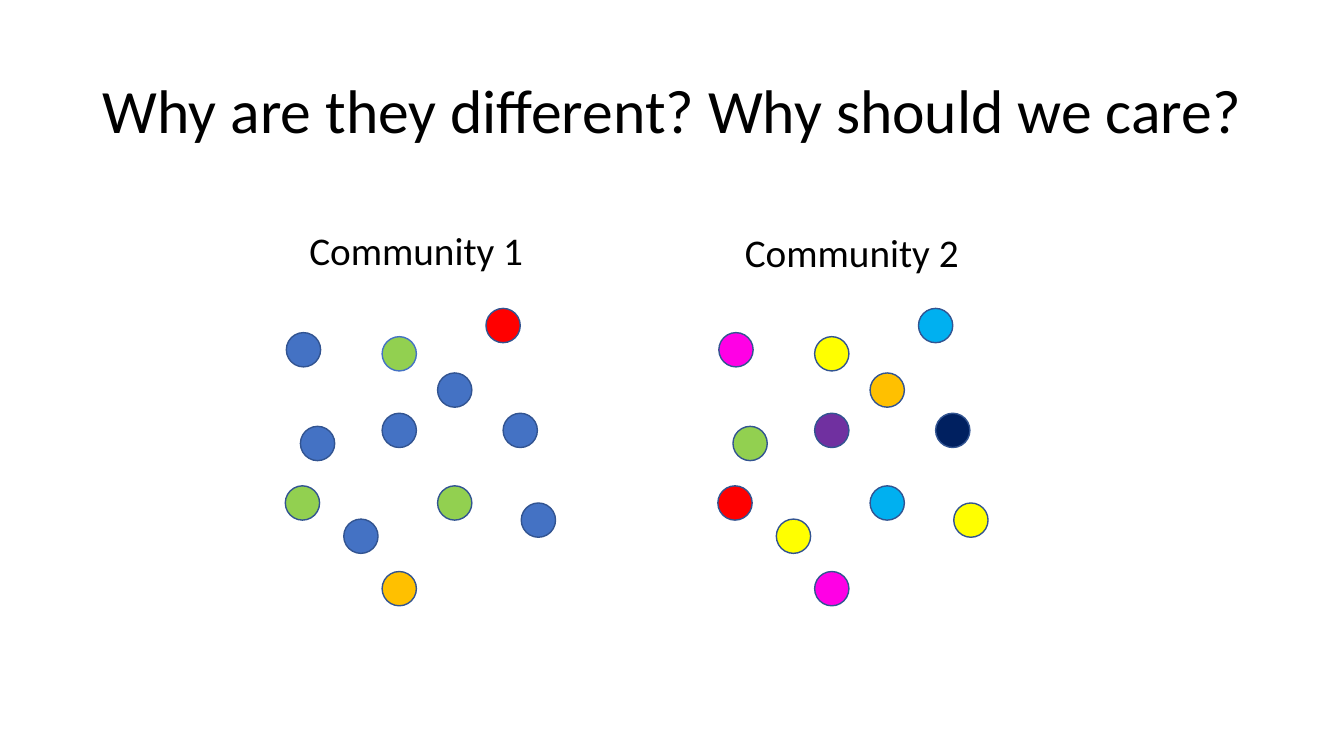
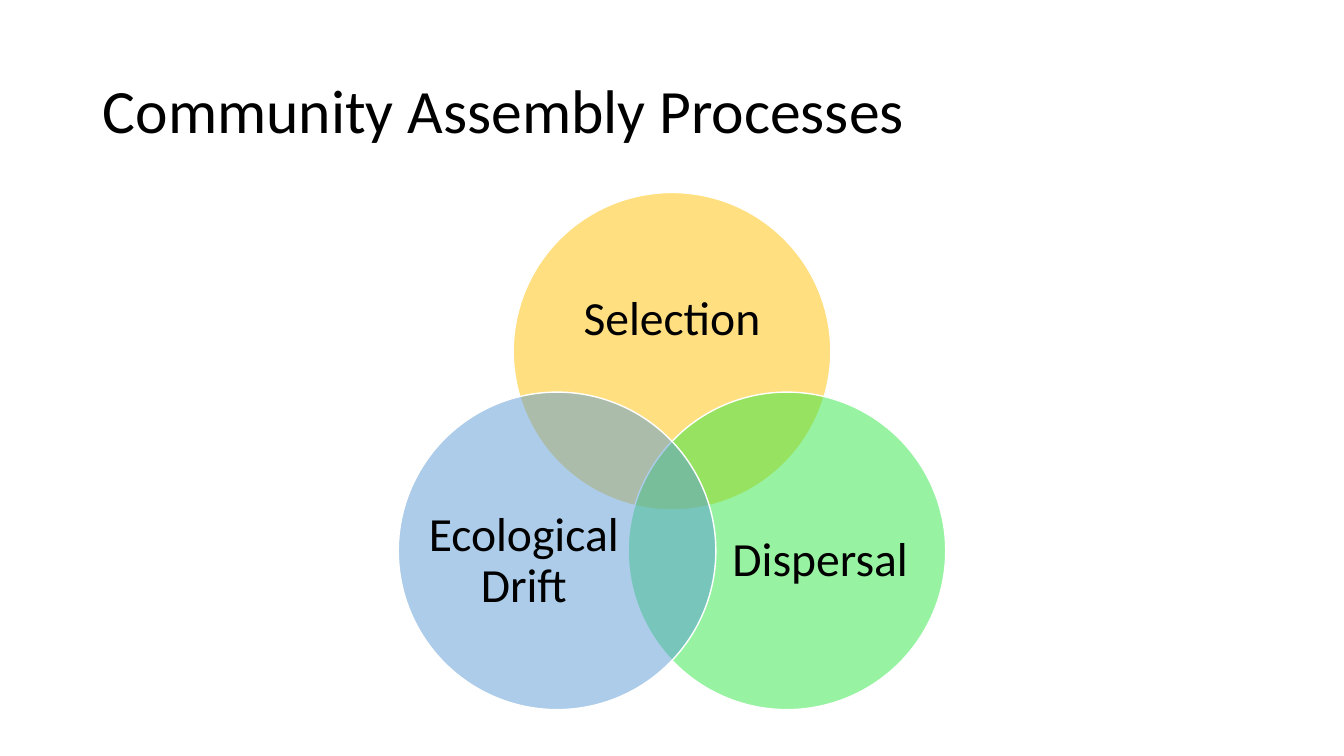
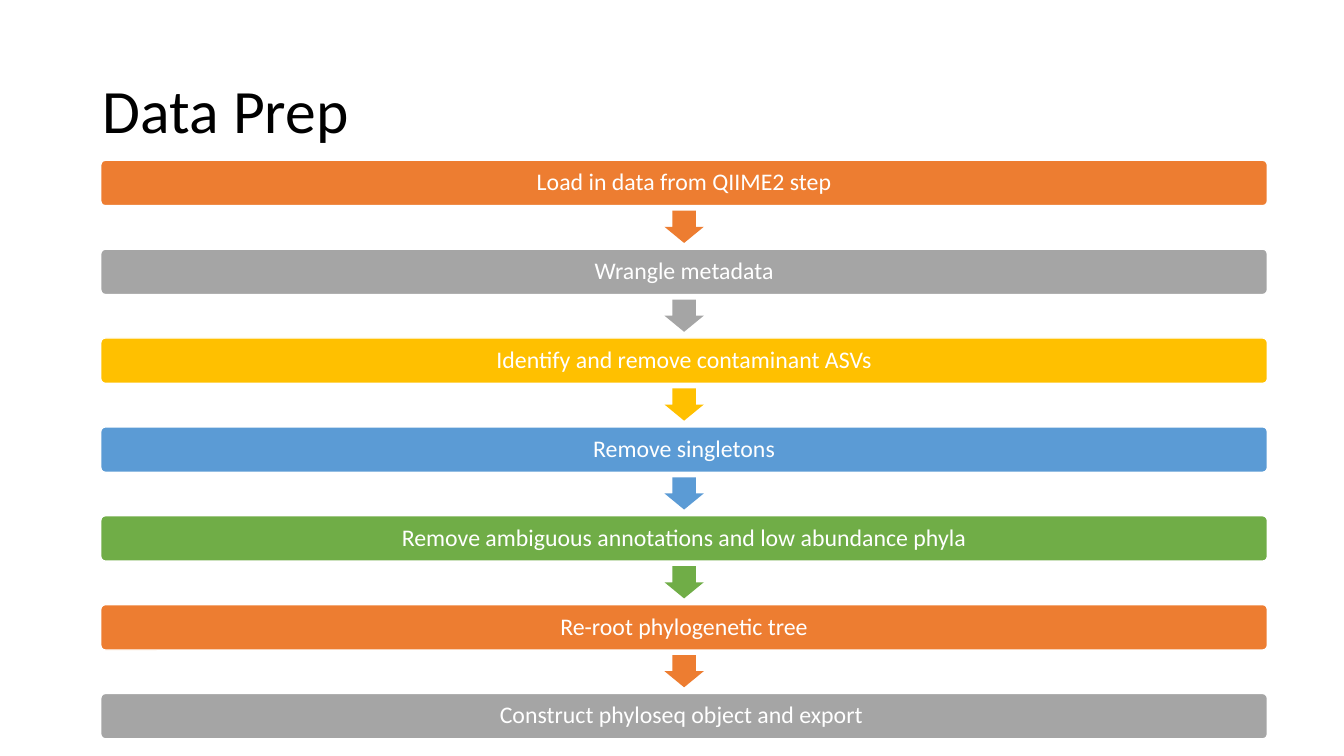
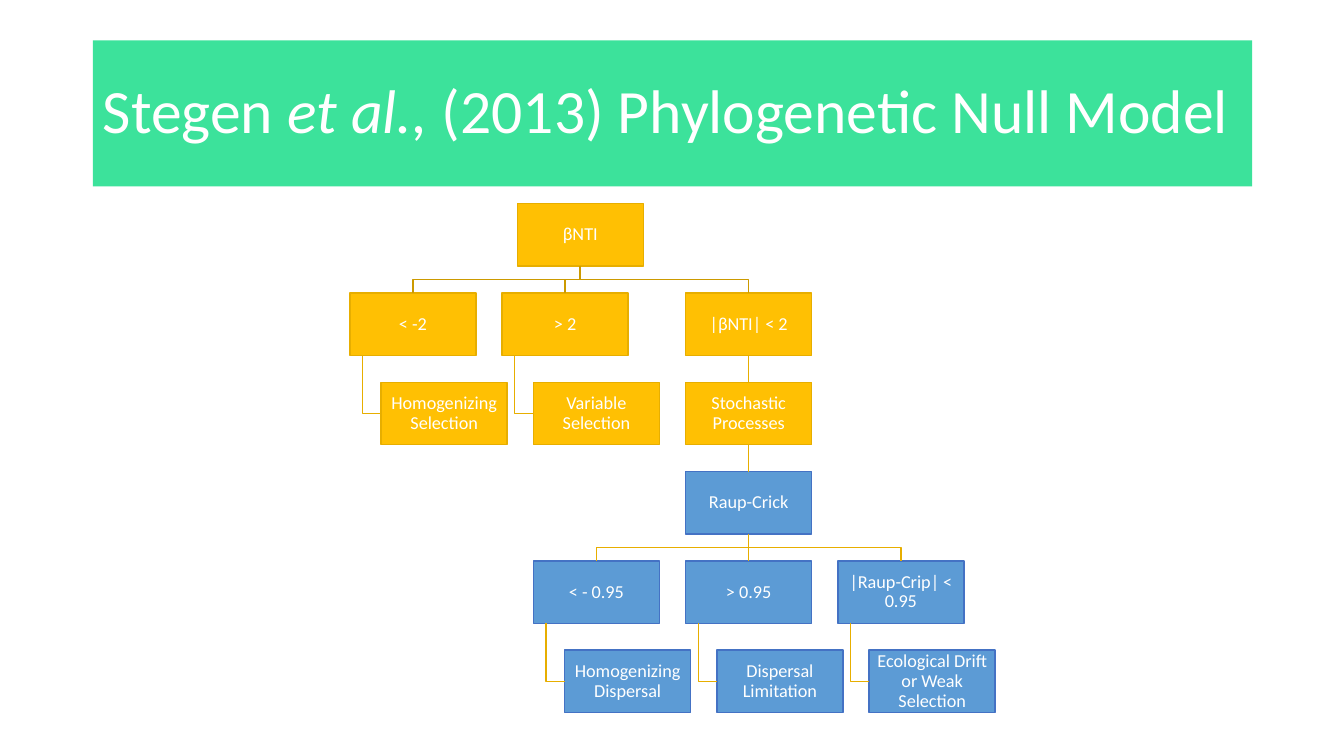
from pptx import Presentation
from pptx.dml.color import RGBColor
from pptx.enum.shapes import MSO_CONNECTOR as Connector, MSO_SHAPE as Shape
from pptx.enum.text import MSO_ANCHOR as Anchor, MSO_AUTO_SIZE as AutoSize, PP_ALIGN as Align
from pptx.oxml.ns import qn
from pptx.util import Inches, Pt
from lxml.etree import SubElement

FONT = "Calibri"
COLORS = {
    "black": "000000", "white": "FFFFFF", "blue": "4472C4", "outline": "325491",
    "lime": "92D050", "gold": "FFC000", "red": "FF0000", "pink": "FF00E5",
    "purple": "7030A0", "yellow": "FFFF00", "cyan": "00B0F0", "navy": "002060",
    "sky": "5B9BD5", "mint": "30E845", "orange": "ED7D31", "gray": "A5A5A5",
    "green": "70AD47", "banner": "3CE29B", "node gold": "FFC003",
    "node blue": "5C9BD5", "link": "E7AE00", "root link": "CC9A00",
}


def color(name):
    return RGBColor.from_string(COLORS[name])


# Shared elements
def write(shape, runs, size, ink, align=Align.CENTER, spacing=0.9, inset=0.0, anchor=Anchor.MIDDLE):
    """Fill a shape with one paragraph; runs are (text, italic) pairs."""
    frame = shape.text_frame
    frame.word_wrap = True
    frame.auto_size = AutoSize.NONE
    frame.vertical_anchor = anchor
    frame.margin_left = frame.margin_right = Inches(inset)
    frame.margin_top = frame.margin_bottom = Inches(min(inset, 0.07))
    para = frame.paragraphs[0]
    para.alignment = align
    para.line_spacing = spacing
    for text, italic in runs:
        span = para.add_run()
        span.text = text
        span.font.name = FONT
        span.font.size = Pt(size)
        span.font.italic = italic
        span.font.color.rgb = color(ink)


def add_slide(deck, title_runs, ink="black", band=None):
    page = deck.slides.add_slide(deck.slide_layouts[5])
    title = page.shapes.title
    title.left, title.top = Inches(0.92), Inches(0.4)
    title.width, title.height = Inches(11.5), Inches(1.45)
    write(title, title_runs, 44, ink, Align.LEFT, inset=0.1)
    if band:
        title.fill.solid()
        title.fill.fore_color.rgb = color(band)
    return page


def add_box(page, kind, left, top, width, height, fill, line=None, opacity=100):
    box = page.shapes.add_shape(kind, Inches(left), Inches(top), Inches(width), Inches(height))
    box.shadow.inherit = False
    box.fill.solid()
    box.fill.fore_color.rgb = color(fill)
    if opacity < 100:
        tint = box._element.spPr.find(qn("a:solidFill"))[0]
        SubElement(tint, qn("a:alpha")).set("val", str(opacity * 1000))
    if line:
        box.line.color.rgb = color(line)
        box.line.width = Pt(1)
    else:
        box.line.fill.background()
    return box


def add_label(page, text, left, top, width, height, size, **style):
    label = page.shapes.add_textbox(Inches(left), Inches(top), Inches(width), Inches(height))
    write(label, [(text, False)], size, "black", **style)


# Slide 1: two communities with the same layout of dots
DOT_PLACES = [
    (2.84, 3.3), (3.79, 4.1), (2.83, 4.82), (5.17, 4.99), (3.79, 5.67), (4.82, 3.06),
    (3.79, 3.34), (4.34, 4.82), (4.99, 4.1), (3.41, 5.15), (2.98, 4.23), (4.34, 3.7),
]
COMMUNITIES = [
    ("Community 1", 2.97, 2.18, 0,
     ["blue", "blue", "lime", "blue", "gold", "red",
      "lime", "lime", "blue", "blue", "blue", "blue"]),
    ("Community 2", 7.29, 2.2, 4.29,
     ["pink", "purple", "red", "yellow", "pink", "cyan",
      "yellow", "cyan", "navy", "yellow", "lime", "gold"]),
]


def build_communities(deck):
    page = add_slide(deck, [("Why are they different? Why should we care?", False)])
    for name, left, top, shift, fills in COMMUNITIES:
        add_label(page, name, left, top, 2.5, 0.57, 28, align=Align.LEFT,
                  spacing=1.0, inset=0.1, anchor=Anchor.TOP)
        for index, ((x, y), fill) in enumerate(zip(DOT_PLACES, fills)):
            line = "blue" if shift == 0 and index == 6 else "outline"
            add_box(page, Shape.OVAL, x + shift, y, 0.34, 0.34, fill, line)


# Slide 2: three overlapping circles
PROCESSES = [
    ("Selection", "gold", (5.09, 1.91), (5.51, 2.47, 2.31, 1.42)),
    ("Dispersal", "mint", (6.23, 3.89), (7.19, 4.7, 1.89, 1.74)),
    ("Ecological Drift", "sky", (3.95, 3.89), (4.25, 4.7, 1.89, 1.74)),
]


def build_processes(deck):
    page = add_slide(deck, [("Community Assembly Processes", False)])
    for name, fill, (left, top), label_area in PROCESSES:
        add_box(page, Shape.OVAL, left, top, 3.15, 3.15, fill, "white", opacity=50)
        add_label(page, name, *label_area, 34)


# Slide 3: vertical list of steps
STEPS = [
    ("Load in data from QIIME2 step", "orange"),
    ("Wrangle metadata", "gray"),
    ("Identify and remove contaminant ASVs", "gold"),
    ("Remove singletons", "sky"),
    ("Remove ambiguous annotations and low abundance phyla", "green"),
    ("Re-root phylogenetic tree", "orange"),
    ("Construct phyloseq object and export ", "gray"),
]


def build_steps(deck):
    page = add_slide(deck, [("Data Prep", False)])
    left, width, first_top, last_top = 1, 11.57, 1.59, 6.88
    pitch = (last_top - first_top) / (len(STEPS) - 1)
    for index, (text, fill) in enumerate(STEPS):
        top = first_top + index * pitch
        bar = add_box(page, Shape.ROUNDED_RECTANGLE, left, top, width, 0.45, fill, "white")
        bar.adjustments[0] = 0.1
        write(bar, [(text, False)], 17, "white", inset=0.07)
        if index < len(STEPS) - 1:
            arrow = add_box(page, Shape.DOWN_ARROW, left + (width - 0.39) / 2, top + 0.5,
                            0.39, 0.32, fill)
            arrow.adjustments[0], arrow.adjustments[1] = 0.6, 0.5


# Slide 4: decision tree
ROW_PITCH = (6.45 - 2.02) / 5
GOLD, BLUE = ("node gold", "link"), ("node blue", "blue")
# key: text, left, row, (fill, line)
NODES = {
    "root": ("βNTI", 5.13, 0, GOLD),
    "low": ("< -2", 3.47, 1, GOLD),
    "homogenizing": ("Homogenizing Selection", 3.78, 2, GOLD),
    "high": ("> 2", 4.98, 1, GOLD),
    "variable": ("Variable Selection", 5.29, 2, GOLD),
    "middle": ("|βNTI| < 2", 6.8, 1, GOLD),
    "stochastic": ("Stochastic Processes", 6.8, 2, GOLD),
    "raup": ("Raup-Crick", 6.8, 3, BLUE),
    "raup low": ("< - 0.95", 5.29, 4, BLUE),
    "mixing": ("Homogenizing Dispersal", 5.6, 5, BLUE),
    "raup high": ("> 0.95", 6.8, 4, BLUE),
    "limitation": ("Dispersal Limitation", 7.11, 5, BLUE),
    "raup middle": ("|Raup-Crip| < 0.95", 8.31, 4, BLUE),
    "drift": ("Ecological Drift or Weak Selection", 8.62, 5, BLUE),
}
STRAIGHT_LINKS = [("middle", "stochastic"), ("stochastic", "raup"), ("raup", "raup high")]
BRANCH_LINKS = [
    ("root", "low", "root link"), ("root", "high", "root link"),
    ("root", "middle", "root link"), ("raup", "raup low", "link"),
    ("raup", "raup middle", "link"),
]
HANGING_LINKS = [
    ("low", "homogenizing"), ("high", "variable"), ("raup low", "mixing"),
    ("raup high", "limitation"), ("raup middle", "drift"),
]


def bottom(box):
    return box.top + box.height


def center(box):
    return box.left + box.width // 2


def style_line(line, ink):
    line.color.rgb = color(ink)
    line.width = Pt(1)


def join(page, parent, child):
    link = page.shapes.add_connector(Connector.STRAIGHT, center(parent), bottom(parent),
                                     center(child), child.top)
    link.begin_connect(parent, 2)
    link.end_connect(child, 0)
    style_line(link.line, "link")
    SubElement(link._element.spPr, qn("a:effectLst"))


def add_path(page, points, ink):
    builder = page.shapes.build_freeform(*points[0])
    builder.add_line_segments(points[1:], close=False)
    path = builder.convert_to_shape()
    path.shadow.inherit = False
    path.fill.background()
    style_line(path.line, ink)


def branch(page, parent, child, ink):
    middle = (bottom(parent) + child.top) // 2
    add_path(page, [(center(parent), bottom(parent)), (center(parent), middle),
                    (center(child), middle), (center(child), child.top)], ink)


def hang(page, parent, child):
    x, y = parent.left + parent.width // 10, child.top + child.height // 2
    add_path(page, [(x, bottom(parent)), (x, y), (child.left, y)], "link")


def build_tree(deck):
    page = add_slide(deck, [("Stegen ", False), ("et al., ", True),
                            ("(2013) Phylogenetic Null Model", False)], "white", "banner")
    boxes = {}
    for key, (text, left, row, (fill, line)) in NODES.items():
        box = add_box(page, Shape.RECTANGLE, left, 2.02 + row * ROW_PITCH, 1.25, 0.62, fill, line)
        write(box, [(text, False)], 13, "white", inset=0.01)
        boxes[key] = box
    for parent, child in STRAIGHT_LINKS:
        join(page, boxes[parent], boxes[child])
    for parent, child, ink in BRANCH_LINKS:
        branch(page, boxes[parent], boxes[child], ink)
    for parent, child in HANGING_LINKS:
        hang(page, boxes[parent], boxes[child])


def main():
    deck = Presentation()
    deck.slide_width, deck.slide_height = Inches(13.33), Inches(7.5)
    build_communities(deck)
    build_processes(deck)
    build_steps(deck)
    build_tree(deck)
    deck.save("out.pptx")


if __name__ == "__main__":
    main()
